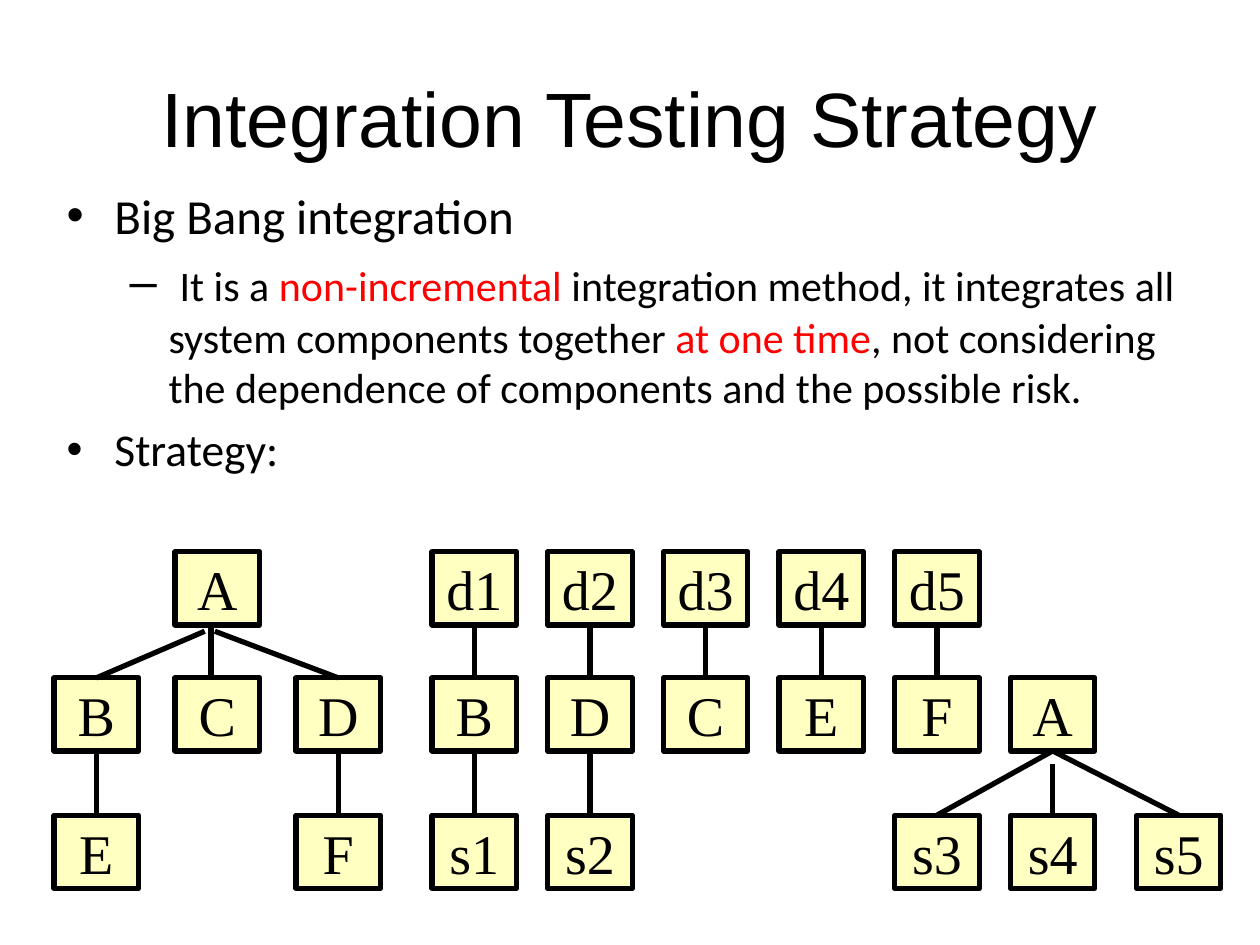
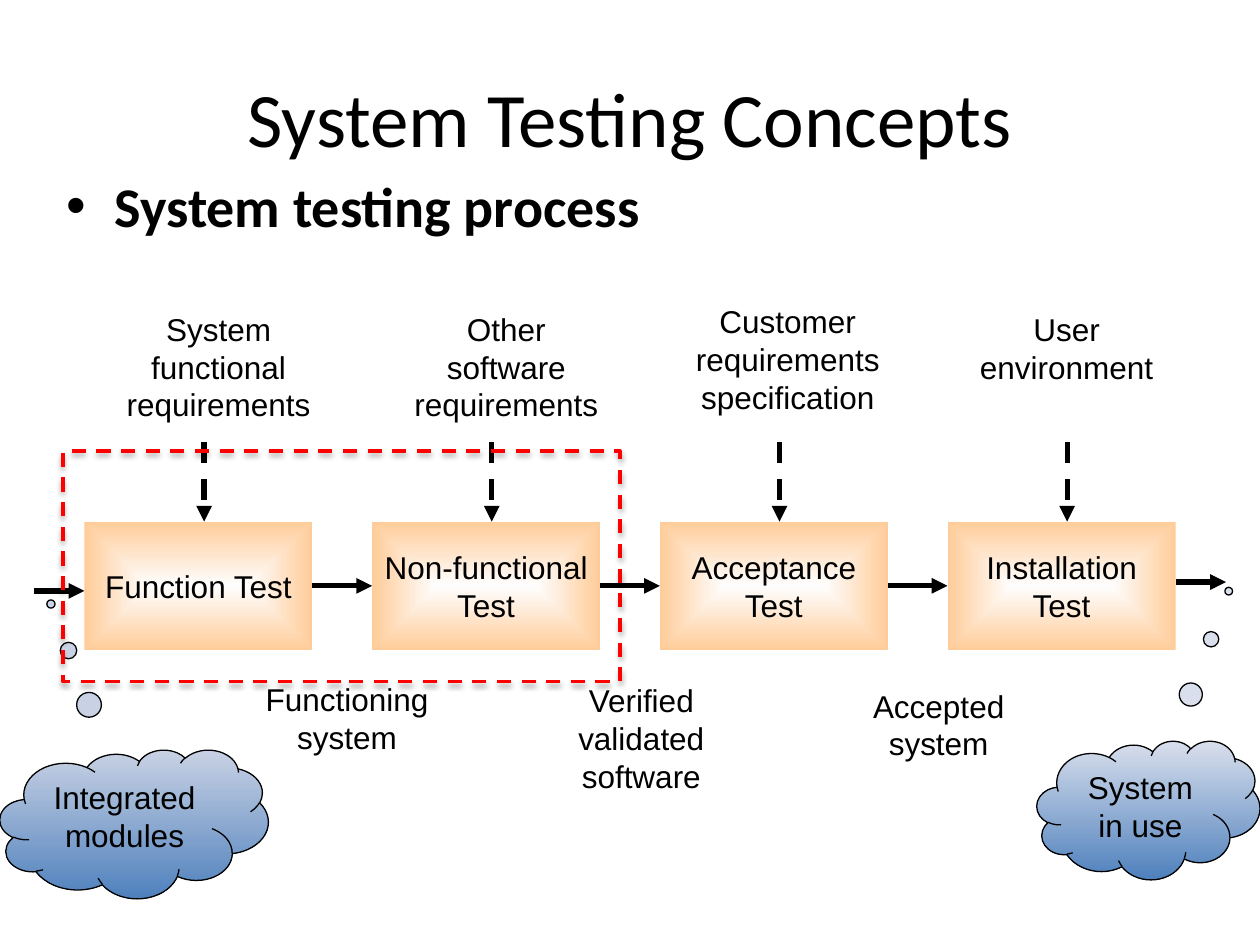
from lxml import etree
from pptx import Presentation
from pptx.dml.color import RGBColor
from pptx.enum.dml import MSO_LINE
from pptx.enum.shapes import MSO_CONNECTOR, MSO_SHAPE
from pptx.enum.text import MSO_ANCHOR, PP_ALIGN
from pptx.oxml import parse_xml
from pptx.oxml.ns import nsdecls, qn
from pptx.util import Inches, Pt

RECTANGLE, CLOUD = MSO_SHAPE.RECTANGLE, MSO_SHAPE.CLOUD_CALLOUT
STRAIGHT = MSO_CONNECTOR.STRAIGHT
DASH = MSO_LINE.DASH
CENTER, LEFT = PP_ALIGN.CENTER, PP_ALIGN.LEFT
TOP, MIDDLE = MSO_ANCHOR.TOP, MSO_ANCHOR.MIDDLE

BLACK, RED, YELLOW = "000000", "FF0000", "FFFF99"
PALE, ORANGE, BLUE = "FEFEFE", "FFCC99", "4F81BD"
TITLE_AREA = (0.5, 0.3, 9, 1.25)
BULLETS = {0: ("•", 0.38, -0.38), 1: ("–", 0.81, -0.31)}  # mark, margin, indent

# Slide 1: (level, size, bold, spans of text, colour and size)
STRATEGY_POINTS = [
    (0, 28, False, [("Big Bang integration", BLACK, 28)]),
    (1, 24, False, [
        (" ", BLACK, 28),
        ("It is a ", BLACK, 24),
        ("non-incremental ", RED, 24),
        ("integration method, it integrates all system components together ", BLACK, 24),
        ("at one time", RED, 24),
        (", not considering the dependence of components and the possible risk.", BLACK, 24),
    ]),
    (0, 26, False, [("Strategy:", BLACK, 26)]),
]
COMPONENTS = [
    ["", "A", "", "d1", "d2", "d3", "d4", "d5", "", ""],
    ["B", "C", "D", "B", "D", "C", "E", "F", "A", ""],
    ["E", "", "F", "s1", "s2", "", "", "s3", "s4", "s5"],
]
DRIVER_PITCH = (8.02 - 3.43) / 5
COLUMNS = ([0.43 + 0.96 * i for i in range(3)]
           + [3.43 + DRIVER_PITCH * i for i in range(6)] + [9.02])
ROWS = [4.38, 5.38, 6.47]
NODE_WIDTH, NODE_HEIGHT = 0.67, 0.58
# Parent row: columns joined to the node right below
STEMS = {0: [3, 4, 5, 6, 7], 1: [0, 2, 3, 4]}
# Parent column, parent row, child column, shift of the start
BRANCHES = [
    (1, 0, 0, -0.1, 0.05), (1, 0, 1, -0.05, 0.01), (1, 0, 2, -0.02, 0.05),
    (8, 1, 7, 0, 0), (8, 1, 8, 0, 0.1), (8, 1, 9, 0, 0),
]

# Slide 2
PROCESS_POINTS = [(0, 32, True, [("System testing process", BLACK, 32)])]
# Test, its input lines, input offset from the step, top and width
STEPS = [
    ("Function Test", ["System functional requirements"], 0.08, 2.41, 1.97),
    ("Non-functional Test", ["Other", "software requirements"], 0.08, 2.41, 1.97),
    ("Acceptance Test", ["Customer requirements", "specification"], 0.07, 2.35, 1.89),
    ("Installation Test", ["User", "environment"], 0.08, 2.41, 1.73),
]
STEP_LEFT, STEP_TOP, STEP_WIDTH, STEP_HEIGHT = 0.67, 4.14, 1.81, 1.02
STEP_PITCH = (7.52 - STEP_LEFT) / 3
RESULTS = [
    (["Functioning system"], (1.93, 5.35, 1.65, 0.7)),
    (["Verified", "validated", "software"], (4.29, 5.36, 1.6, 1.3)),
    (["Accepted system"], (6.65, 5.4, 1.6, 0.7)),
]
# Lines, area, pointer and top colour
CLOUDS = [
    (["System in use"], (8.23, 5.88, 1.77, 1.1), (0.36, -1.58), "D9DFEC"),
    (["Integrated", "modules"], (0, 5.95, 2.13, 1.18), (-0.31, -1.48), "C9D2E4"),
]
SCOPE_AREA = (0.5, 3.58, 4.42, 1.83)


def color(hex_text):
    return RGBColor.from_string(hex_text)


def inches(values):
    return [Inches(value) for value in values]


def style(font, name, size, hex_text=BLACK, bold=False):
    font.name, font.size, font.bold = name, Pt(size), bold
    font.color.rgb = color(hex_text)


def write(box, lines, name, size, anchor=TOP, wrap=True):
    """Fill a box with centred lines of one font."""
    frame = box.text_frame
    frame.word_wrap, frame.vertical_anchor = wrap, anchor
    for i, line in enumerate(lines):
        para = frame.paragraphs[0] if i == 0 else frame.add_paragraph()
        para.text, para.alignment = line, CENTER
        style(para.font, name, size)


def add_text(page, area, *text, **options):
    write(page.shapes.add_textbox(*inches(area)), *text, **options)


def add_points(page, area, points):
    """Add a bulleted list with coloured spans."""
    frame = page.shapes.add_textbox(*inches(area)).text_frame
    frame.word_wrap = True
    for i, (level, size, bold, spans) in enumerate(points):
        para = frame.paragraphs[0] if i == 0 else frame.add_paragraph()
        mark, margin, indent = BULLETS[level]
        properties = para._p.get_or_add_pPr()
        properties.set("marL", str(Inches(margin)))
        properties.set("indent", str(Inches(indent)))
        etree.SubElement(properties, qn("a:buFont")).set("typeface", "Arial")
        etree.SubElement(properties, qn("a:buChar")).set("char", mark)
        para.alignment = LEFT
        if i:
            para.space_before = Pt(size * 0.2)
        style(para.font, "Calibri", size, bold=bold)
        for text, hex_text, span_size in spans:
            span = para.add_run()
            span.text = text
            if len(spans) > 1:
                style(span.font, "Calibri", span_size, hex_text, bold)


def add_box(page, kind, area, line=None, width=1):
    box = page.shapes.add_shape(kind, *inches(area))
    box.shadow.inherit = False
    box.fill.background()
    if line:
        box.line.color.rgb, box.line.width = color(line), Pt(width)
    else:
        box.line.fill.background()
    return box


def fill_gradient(box, first, last, direction):
    """Replace the fill of a box by a two-colour gradient."""
    stops = "".join(
        f'<a:gs pos="{place}"><a:srgbClr val="{hex_text}"/></a:gs>'
        for place, hex_text in ((0, first), (100000, last)))
    gradient = parse_xml(f'<a:gradFill {nsdecls("a")} rotWithShape="1">'
                         f"<a:gsLst>{stops}</a:gsLst>{direction}</a:gradFill>")
    properties = box._element.spPr
    properties.replace(properties.find(qn("a:noFill")), gradient)


def add_line(page, start, end, arrow=False, dash=None):
    line = page.shapes.add_connector(STRAIGHT, *inches(start), *inches(end))
    line.line.color.rgb, line.line.width = color(BLACK), Pt(3)
    if dash:
        line.line.dash_style = dash
    if arrow:
        etree.SubElement(line.line._get_or_add_ln(), qn("a:tailEnd")).set("type", "triangle")
    etree.SubElement(line._element.spPr, qn("a:effectLst"))


def add_page(deck, title, font):
    page = deck.slides.add_slide(deck.slide_layouts[6])
    add_text(page, TITLE_AREA, [title], font, 44, anchor=MIDDLE)
    return page


def build_strategy(deck):
    page = add_page(deck, "Integration Testing Strategy", "Arial")
    add_points(page, (0.43, 1.42, 9.16, 5.17), STRATEGY_POINTS)
    for top, labels in zip(ROWS, COMPONENTS):
        for left, label in zip(COLUMNS, labels):
            if not label:
                continue
            node = add_box(page, RECTANGLE, (left, top, NODE_WIDTH, NODE_HEIGHT), BLACK, 3)
            node.fill.solid()
            node.fill.fore_color.rgb = color(YELLOW)
            tint = node._element.spPr.find(qn("a:solidFill"))[0]
            etree.SubElement(tint, qn("a:alpha")).set("val", "60000")
            write(node, [label], "Times New Roman", 32, MIDDLE, wrap=False)
    stems = [(column, row, column, 0, 0) for row, columns in STEMS.items() for column in columns]
    for parent, row, child, shift_x, shift_y in stems + BRANCHES:
        start_x = COLUMNS[parent] + NODE_WIDTH / 2 + shift_x
        end_x = start_x if parent == child else COLUMNS[child] + NODE_WIDTH / 2
        add_line(page, (start_x, ROWS[row] + NODE_HEIGHT + shift_y), (end_x, ROWS[row + 1]))


def build_process(deck):
    page = add_page(deck, "System Testing Concepts", "Calibri")
    add_points(page, (0.43, 1.31, 7.26, 4.95), PROCESS_POINTS)
    from_center = ('<a:path path="rect"><a:fillToRect l="50000" t="50000" '
                   'r="50000" b="50000"/></a:path>')
    flow_y = STEP_TOP + STEP_HEIGHT / 2
    for i, (test, inputs, offset, top, width) in enumerate(STEPS):
        left = STEP_LEFT + STEP_PITCH * i
        step = add_box(page, RECTANGLE, (left, STEP_TOP, STEP_WIDTH, STEP_HEIGHT))
        fill_gradient(step, PALE, ORANGE, from_center)
        step.text_frame.margin_left = step.text_frame.margin_right = Inches(0.08)
        write(step, [test], "Arial", 18, MIDDLE)
        add_text(page, (left + offset, top, width, 1), inputs, "Arial", 18)
        input_x = left + 0.95
        add_line(page, (input_x, 3.51), (input_x, STEP_TOP), arrow=True, dash=DASH)
        if i:
            add_line(page, (left - STEP_PITCH + STEP_WIDTH, flow_y), (left, flow_y), arrow=True)
    for start_x, y in ((0.27, 4.69), (9.33, 4.62)):
        add_line(page, (start_x, y), (start_x + 0.4, y), arrow=True)

    for lines, area, pointer, top_color in CLOUDS:
        cloud = add_box(page, CLOUD, area, BLACK, 0.75)
        cloud.adjustments[0], cloud.adjustments[1] = pointer
        fill_gradient(cloud, top_color, BLUE, '<a:lin ang="5400000" scaled="0"/>')
        write(cloud, lines, "Arial", 18)
    for lines, area in RESULTS:
        add_text(page, area, lines, "Arial", 18)

    scope = add_box(page, RECTANGLE, SCOPE_AREA, RED, 2)
    scope.line.dash_style = DASH
    scope._element.spPr.find(qn("a:effectLst")).append(parse_xml(
        f'<a:outerShdw {nsdecls("a")} blurRad="{Pt(3.1)}" dist="{Pt(1.8)}" dir="5400000" '
        f'rotWithShape="0"><a:srgbClr val="{BLACK}"><a:alpha val="35000"/></a:srgbClr>'
        "</a:outerShdw>"))


def main():
    deck = Presentation()
    deck.slide_width, deck.slide_height = inches((10, 7.5))
    build_strategy(deck)
    build_process(deck)
    deck.save("out.pptx")


if __name__ == "__main__":
    main()
